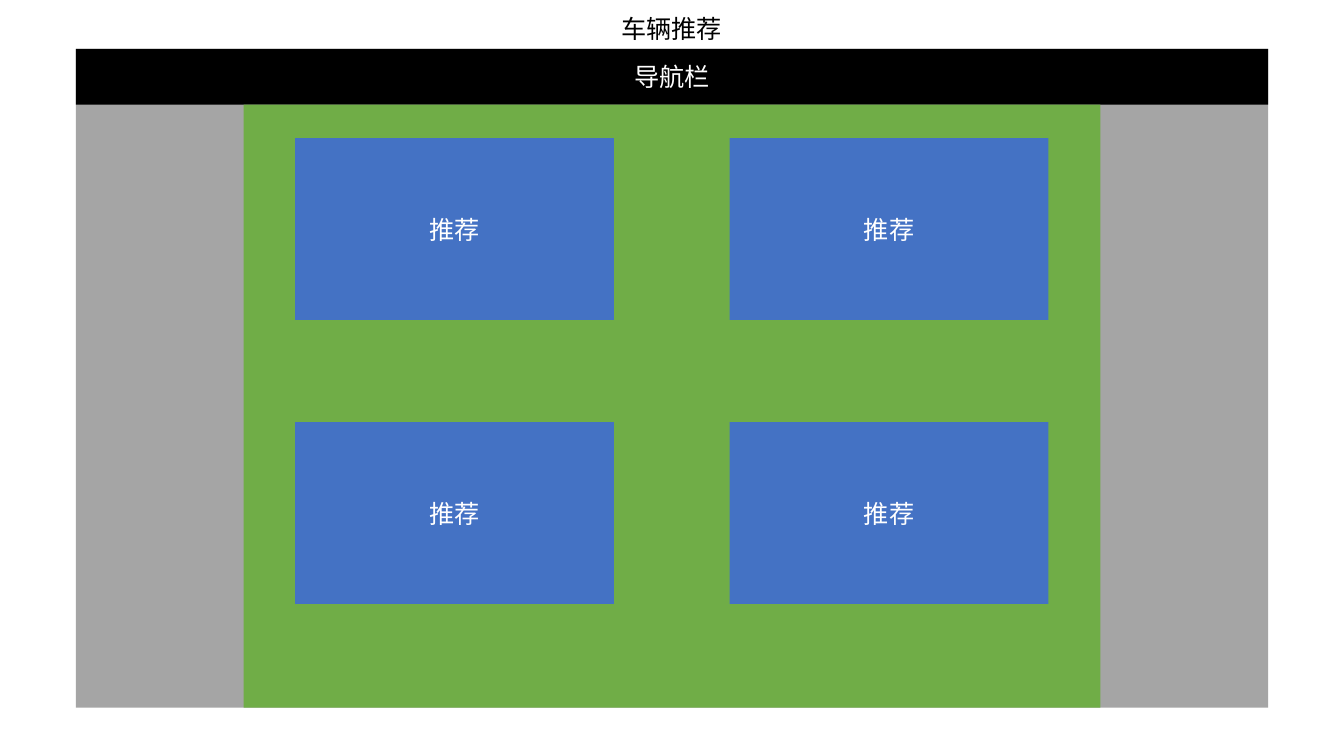
from lxml import etree
from pptx import Presentation
from pptx.dml.color import RGBColor
from pptx.enum import shapes, text
from pptx.oxml import ns
from pptx.util import Cm, Pt

# Content
TITLE = "车辆推荐"
NAVIGATION = "导航栏"
CARDS = [["推荐", "推荐"], ["推荐", "推荐"]]

FONT = "Noto Sans CJK SC"
BLACK = RGBColor(0x00, 0x00, 0x00)
WHITE = RGBColor(0xFF, 0xFF, 0xFF)
GRAY = RGBColor(0xA5, 0xA5, 0xA5)
GREEN = RGBColor(0x70, 0xAD, 0x47)
BLUE = RGBColor(0x44, 0x72, 0xC4)

# Layout in centimetres
SLIDE_WIDTH, SLIDE_HEIGHT = 33.87, 19.05
PAGE_LEFT, PAGE_TOP, PAGE_WIDTH, PAGE_HEIGHT = 1.91, 1.23, 30.05, 16.6
BAR_HEIGHT = 1.41
PANEL_WIDTH = 21.59
CARD_LEFT, CARD_TOP, CARD_WIDTH, CARD_HEIGHT = 7.44, 3.48, 8.03, 4.58
COLUMN_STEP, ROW_STEP = 10.95, 7.16


def write(shape, content, color):
    frame = shape.text_frame
    frame.text = content
    frame.vertical_anchor = text.MSO_ANCHOR.MIDDLE
    paragraph = frame.paragraphs[0]
    paragraph.alignment = text.PP_ALIGN.CENTER
    font = paragraph.font
    font.size = Pt(18)
    font.color.rgb = color
    font.name = FONT
    # Chinese text takes its typeface from the East Asian font
    properties = paragraph._p.pPr.find(ns.qn("a:defRPr"))
    etree.SubElement(properties, ns.qn("a:ea"), typeface=FONT)


def add_block(slide, left, top, width, height, color, content=None):
    block = slide.shapes.add_shape(
        shapes.MSO_SHAPE.RECTANGLE, Cm(left), Cm(top), Cm(width), Cm(height))
    block.shadow.inherit = False
    block.fill.solid()
    block.fill.fore_color.rgb = color
    block.line.fill.background()
    if content:
        write(block, content, WHITE)


def main():
    presentation = Presentation()
    presentation.slide_width = Cm(SLIDE_WIDTH)
    presentation.slide_height = Cm(SLIDE_HEIGHT)
    slide = presentation.slides.add_slide(presentation.slide_layouts[5])

    # Title
    title = slide.shapes.title
    title.left, title.top, title.width, title.height = Cm(15.39), Cm(0.2), Cm(3.07), Cm(1.03)
    write(title, TITLE, BLACK)
    title.text_frame.word_wrap = False
    title.text_frame.auto_size = text.MSO_AUTO_SIZE.SHAPE_TO_FIT_TEXT

    # Page, navigation bar and content panel
    panel_left = PAGE_LEFT + (PAGE_WIDTH - PANEL_WIDTH) / 2
    add_block(slide, PAGE_LEFT, PAGE_TOP, PAGE_WIDTH, PAGE_HEIGHT, GRAY)
    add_block(slide, PAGE_LEFT, PAGE_TOP, PAGE_WIDTH, BAR_HEIGHT, BLACK, NAVIGATION)
    add_block(slide, panel_left, PAGE_TOP + BAR_HEIGHT, PANEL_WIDTH,
              PAGE_HEIGHT - BAR_HEIGHT, GREEN)

    # Recommendation cards
    for row, labels in enumerate(CARDS):
        for column, label in enumerate(labels):
            add_block(slide, CARD_LEFT + column * COLUMN_STEP, CARD_TOP + row * ROW_STEP,
                      CARD_WIDTH, CARD_HEIGHT, BLUE, label)

    presentation.save("out.pptx")


if __name__ == "__main__":
    main()
